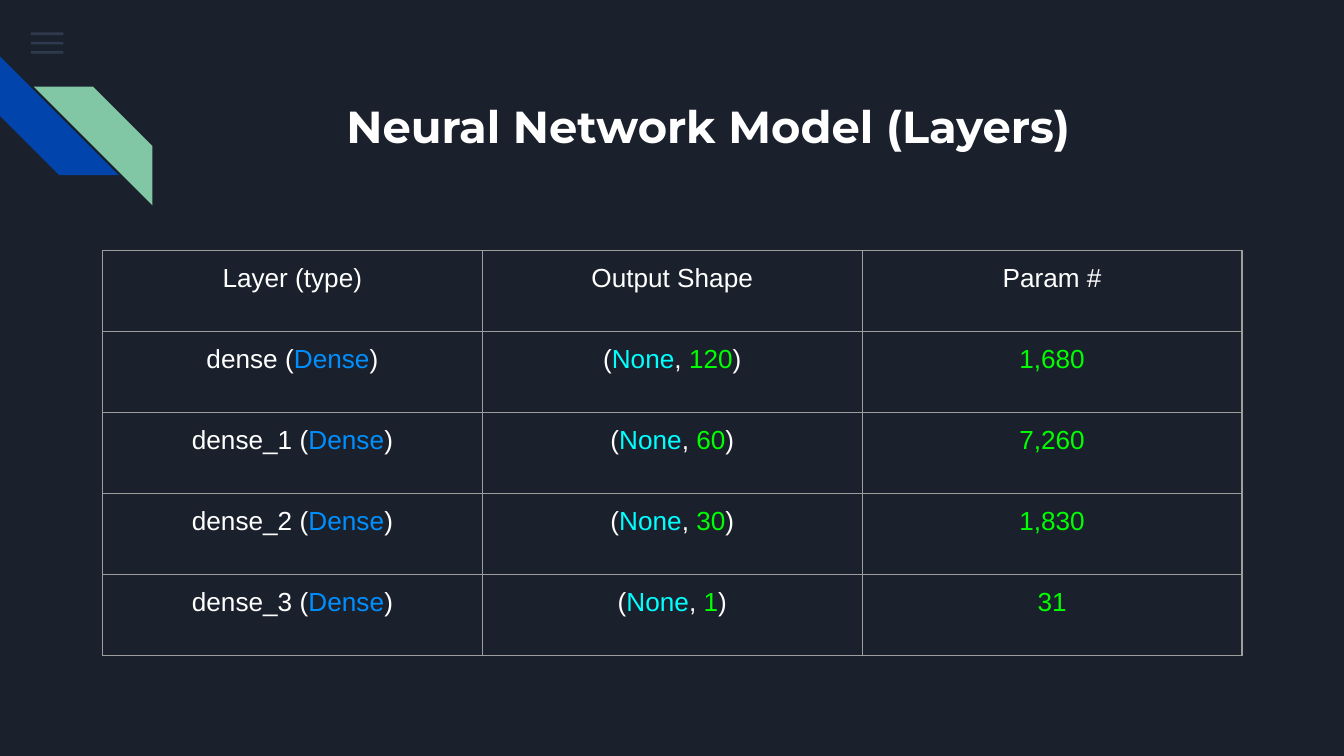
from lxml import etree
from pptx import Presentation
from pptx.dml.color import RGBColor
from pptx.enum.shapes import MSO_SHAPE
from pptx.enum.text import MSO_ANCHOR, PP_ALIGN
from pptx.oxml.ns import qn
from pptx.util import Pt

RECTANGLE = MSO_SHAPE.RECTANGLE
STRIPE = MSO_SHAPE.DIAGONAL_STRIPE
CENTER = PP_ALIGN.CENTER
MIDDLE = MSO_ANCHOR.MIDDLE
TOP = MSO_ANCHOR.TOP

COLORS = {
    "background": "1B212C",
    "menu": "55688B",
    "blue": "0145AC",
    "green": "82C7A5",
    "white": "FFFFFF",
    "border": "9E9E9E",
    "type": "008FFF",
    "none": "00FFFF",
    "number": "00FF00",
}
HEADERS = ("Layer (type)", "Output Shape", "Param #")
LAYERS = (
    ("dense", "120", "1,680"),
    ("dense_1", "60", "7,260"),
    ("dense_2", "30", "1,830"),
    ("dense_3", "1", "31"),
)


def color(name):
    """Return the named colour."""
    return RGBColor.from_string(COLORS[name])


def write_text(frame, runs, font="Arial", size=14, bold=False, anchor=TOP):
    """Write one centred paragraph from (text, colour name) runs."""
    frame.word_wrap = True
    frame.vertical_anchor = anchor
    paragraph = frame.paragraphs[0]
    paragraph.alignment = CENTER
    for text, color_name in runs:
        run = paragraph.add_run()
        run.text = text
        run.font.name = font
        run.font.size = Pt(size)
        run.font.bold = bold
        run.font.color.rgb = color(color_name)


def add_filled_shape(slide, kind, left, top, width, height, fill, rotation=0):
    """Add a preset shape with a plain fill, no line and no shadow."""
    shape = slide.shapes.add_shape(kind, Pt(left), Pt(top), Pt(width), Pt(height))
    shape.shadow.inherit = False
    shape.fill.solid()
    shape.fill.fore_color.rgb = color(fill)
    shape.line.fill.background()
    shape.rotation = rotation
    return shape


def add_menu_icon(slide, left, top, width, height):
    """Draw three translucent bars spread evenly over the box."""
    thickness = 1.4
    pitch = (height - thickness) / 2
    for index in range(3):
        bar = add_filled_shape(slide, RECTANGLE, left, top + index * pitch,
                               width, thickness, "menu")
        fill_color = bar.element.spPr.find(qn("a:solidFill"))[0]
        etree.SubElement(fill_color, qn("a:alpha"), val="36000")


def add_corner_stripes(slide, left, top, width, height):
    """Place two opposed diagonal stripes at opposite corners of the box."""
    side = 63.6
    add_filled_shape(slide, STRIPE, left, top, side, side, "blue", 270)
    add_filled_shape(slide, STRIPE, left + width - side, top + height - side,
                     side, side, "green", 90)


def add_title(slide, left, top, width, height):
    """Move the title placeholder to the box and fill it."""
    title = slide.shapes.title
    title.left, title.top = Pt(left), Pt(top)
    title.width, title.height = Pt(width), Pt(height)
    frame = title.text_frame
    frame.margin_left = frame.margin_right = Pt(7.2)
    frame.margin_top = frame.margin_bottom = Pt(7.2)
    write_text(frame, [("Neural Network Model (Layers)", "white")],
               font="Montserrat", size=24, bold=True, anchor=MIDDLE)


def format_cell(cell):
    """Give a cell even margins, thin borders and no fill."""
    cell.margin_left = cell.margin_right = Pt(7.2)
    cell.margin_top = cell.margin_bottom = Pt(7.2)
    properties = cell._tc.get_or_add_tcPr()
    for side in ("lnL", "lnR", "lnT", "lnB"):
        line = etree.SubElement(properties, qn(f"a:{side}"), w=str(Pt(0.75)))
        fill = etree.SubElement(line, qn("a:solidFill"))
        etree.SubElement(fill, qn("a:srgbClr"), val=COLORS["border"])
    cell.fill.background()


def layer_runs(name, units, parameters):
    """Return the coloured runs of the three cells of a layer."""
    return (
        [(f"{name} (", "white"), ("Dense", "type"), (")", "white")],
        [("(", "white"), ("None", "none"), (", ", "white"),
         (units, "number"), (")", "white")],
        [(parameters, "number")],
    )


def add_layer_table(slide, left, top, width, height):
    """Build the table of layers with equal rows and columns."""
    rows = [[[(header, "white")] for header in HEADERS]]
    rows += [layer_runs(*layer) for layer in LAYERS]
    table = slide.shapes.add_table(len(rows), len(HEADERS), Pt(left), Pt(top),
                                   Pt(width), Pt(height)).table
    table.first_row = False
    table.horz_banding = False
    for row_index, row in enumerate(rows):
        for column_index, runs in enumerate(row):
            cell = table.cell(row_index, column_index)
            format_cell(cell)
            write_text(cell.text_frame, runs)


def main():
    """Build and save the slide."""
    presentation = Presentation()
    presentation.slide_width, presentation.slide_height = Pt(720), Pt(405)
    slide = presentation.slides.add_slide(presentation.slide_layouts[5])
    slide.background.fill.solid()
    slide.background.fill.fore_color.rgb = color("background")
    add_menu_icon(slide, 16.6, 17.4, 17.4, 11.4)
    add_corner_stripes(slide, 0, 30.2, 81.6, 79.8)
    add_title(slide, 102.2, 31, 554.4, 72)
    add_layer_table(slide, 54.9, 134.3, 610.5, 217)
    presentation.save("out.pptx")


if __name__ == "__main__":
    main()
